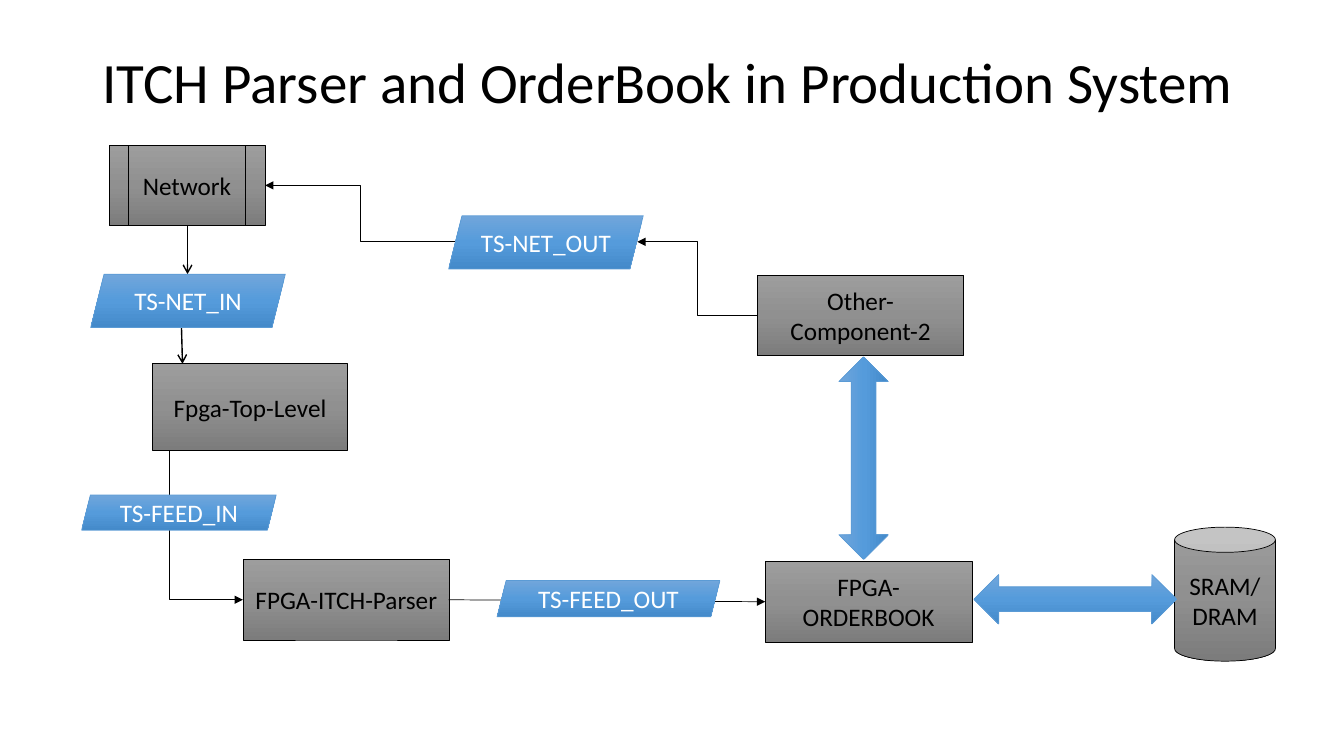
import copy

import pptx
import pptx.dml.color
import pptx.enum.shapes
import pptx.enum.text
import pptx.oxml
import pptx.oxml.ns
import pptx.util

Inches = pptx.util.Inches
Shape = pptx.enum.shapes.MSO_SHAPE
Connector = pptx.enum.shapes.MSO_CONNECTOR
Anchor = pptx.enum.text.MSO_ANCHOR
Align = pptx.enum.text.PP_ALIGN
qn = pptx.oxml.ns.qn

FONT = "Calibri"
BLACK, WHITE = "000000", "FFFFFF"
# Each style: gradient from top to bottom, outline, text colour
GRAY = (("9D9D9D", "909090", "7C7C7C"), BLACK, BLACK)
BLUE = (("71A6DB", "559BDB", "448ACA"), "5B9BD5", WHITE)


def color(value):
    return pptx.dml.color.RGBColor.from_string(value)


def write_text(shape, text, size=18, font_color=BLACK, align=Align.CENTER,
               anchor=Anchor.MIDDLE, line_spacing=None):
    frame = shape.text_frame
    frame.word_wrap = True
    frame.vertical_anchor = anchor
    frame.text = text
    for paragraph in frame.paragraphs:
        paragraph.alignment = align
        paragraph.line_spacing = line_spacing
        paragraph.font.name = FONT
        paragraph.font.size = pptx.util.Pt(size)
        paragraph.font.color.rgb = color(font_color)


def fill_gradient(shape, colors):
    shape.fill.gradient()
    shape.fill.gradient_angle = 270
    stop_list = shape._element.spPr.find(qn("a:gradFill")).find(qn("a:gsLst"))
    stop_list.append(copy.deepcopy(stop_list[0]))
    for index, (stop, value) in enumerate(zip(shape.fill.gradient_stops, colors)):
        stop.position = index / 2
        stop.color.rgb = color(value)


def add_block(slide, kind, box, style, text=None, rotation=0):
    gradient, outline, font_color = style
    shape = slide.shapes.add_shape(kind, *map(Inches, box))
    shape.shadow.inherit = False
    shape.rotation = rotation
    fill_gradient(shape, gradient)
    shape.line.color.rgb = color(outline)
    shape.line.width = pptx.util.Pt(0.5)
    if text:
        write_text(shape, text, font_color=font_color)


def add_arrow(slide, start, end, kind=Connector.STRAIGHT, width=0.5, head="triangle"):
    connector = slide.shapes.add_connector(kind, *map(Inches, start + end))
    connector.line.color.rgb = color(BLACK)
    connector.line.width = pptx.util.Pt(width)
    properties = connector._element.spPr
    line = properties.find(qn("a:ln"))
    line.append(pptx.oxml.parse_xml(
        f'<a:tailEnd {pptx.oxml.ns.nsdecls("a")} type="{head}"/>'))
    properties.append(pptx.oxml.parse_xml(
        f'<a:effectLst {pptx.oxml.ns.nsdecls("a")}/>'))
    return connector


def add_down_right_arrow(slide, start, end):
    """One bend: a flipped connector turned by 270 degrees about its centre."""
    center_x, center_y = (start[0] + end[0]) / 2, (start[1] + end[1]) / 2
    half_x, half_y = (end[1] - start[1]) / 2, (end[0] - start[0]) / 2
    connector = add_arrow(slide, (center_x + half_x, center_y - half_y),
                          (center_x - half_x, center_y + half_y), Connector.ELBOW)
    properties = connector._element.spPr
    properties.find(qn("a:prstGeom")).set("prst", "bentConnector2")
    properties.find(qn("a:xfrm")).set("rot", str(270 * 60000))


def add_title(slide, box):
    title = slide.shapes.add_textbox(*map(Inches, box))
    write_text(title, "ITCH Parser and OrderBook in Production System", size=40.7,
               align=Align.LEFT, anchor=Anchor.BOTTOM, line_spacing=0.9)
    title.text_frame.margin_right = 0


def add_input_path(slide, box):
    """Network down to the parser."""
    left, top, width, height = box
    bottom = top + height
    add_arrow(slide, (left + 1.05, top + 0.79), (left + 1.05, top + 1.28),
              width=1, head="arrow")
    add_arrow(slide, (left + 0.99, top + 1.81), (left + 1, top + 2.17),
              width=1, head="arrow")
    add_down_right_arrow(slide, (left + 0.87, top + 2.93), (left + 1.6, bottom - 0.4))
    add_block(slide, Shape.FLOWCHART_PREDEFINED_PROCESS,
              (left + 0.27, top, 1.55, 0.8), GRAY, "Network")
    add_block(slide, Shape.PARALLELOGRAM, (left + 0.09, top + 1.28, 1.93, 0.53),
              BLUE, "TS-NET_IN")
    add_block(slide, Shape.RECTANGLE, (left + 0.7, top + 2.17, 1.94, 0.86),
              GRAY, "Fpga-Top-Level")
    add_block(slide, Shape.PARALLELOGRAM, (left, top + 3.47, 1.93, 0.35),
              BLUE, "TS-FEED_IN")
    add_block(slide, Shape.RECTANGLE, (left + width - 2.05, bottom - 0.8, 2.05, 0.8),
              GRAY, "FPGA-ITCH-Parser")


def add_book_path(slide, box):
    """Parser output, order book and memory."""
    left, top, width, height = box
    middle = top + 0.72
    add_arrow(slide, (left, middle), (left + 3.14, middle + 0.02))
    add_block(slide, Shape.PARALLELOGRAM, (left + 0.48, top + 0.53, 2.21, 0.36),
              BLUE, "TS-FEED_OUT")
    add_block(slide, Shape.RECTANGLE, (left + 3.14, top + 0.34, 2.05, 0.8),
              GRAY, "FPGA-ORDERBOOK")
    add_block(slide, Shape.CAN, (left + width - 1, top, 1, height),
              GRAY, "SRAM/\nDRAM")
    add_block(slide, Shape.LEFT_RIGHT_ARROW, (left + 5.21, top + 0.47, 2.01, 0.49), BLUE)


def add_output_path(slide, box):
    """Order book back to the network."""
    left, top, width, height = box
    output_y = top + 0.56
    add_arrow(slide, (left + 4.88, top + 1.29), (left + 3.69, output_y), Connector.ELBOW)
    add_arrow(slide, (left + 1.89, output_y), (left, top), Connector.ELBOW)
    add_block(slide, Shape.PARALLELOGRAM, (left + 1.82, top + 0.3, 1.93, 0.53),
              BLUE, "TS-NET_OUT")
    add_block(slide, Shape.RECTANGLE, (left + width - 2.05, top + 0.89, 2.05, 0.8),
              GRAY, "Other-Component-2")
    add_block(slide, Shape.LEFT_RIGHT_ARROW,
              (left + 4.93, top + height - 1.25, 2.01, 0.49), BLUE, rotation=270)


def main():
    presentation = pptx.Presentation()
    presentation.slide_width = Inches(13.33)
    presentation.slide_height = Inches(7.5)
    slide = presentation.slides.add_slide(presentation.slide_layouts[6])
    add_title(slide, (0.92, 0.25, 11.5, 0.95))
    add_input_path(slide, (0.81, 1.44, 3.65, 4.91))
    add_book_path(slide, (4.45, 5.23, 8.2, 1.33))
    add_output_path(slide, (2.63, 1.84, 6.93, 3.71))
    presentation.save("out.pptx")


if __name__ == "__main__":
    main()
